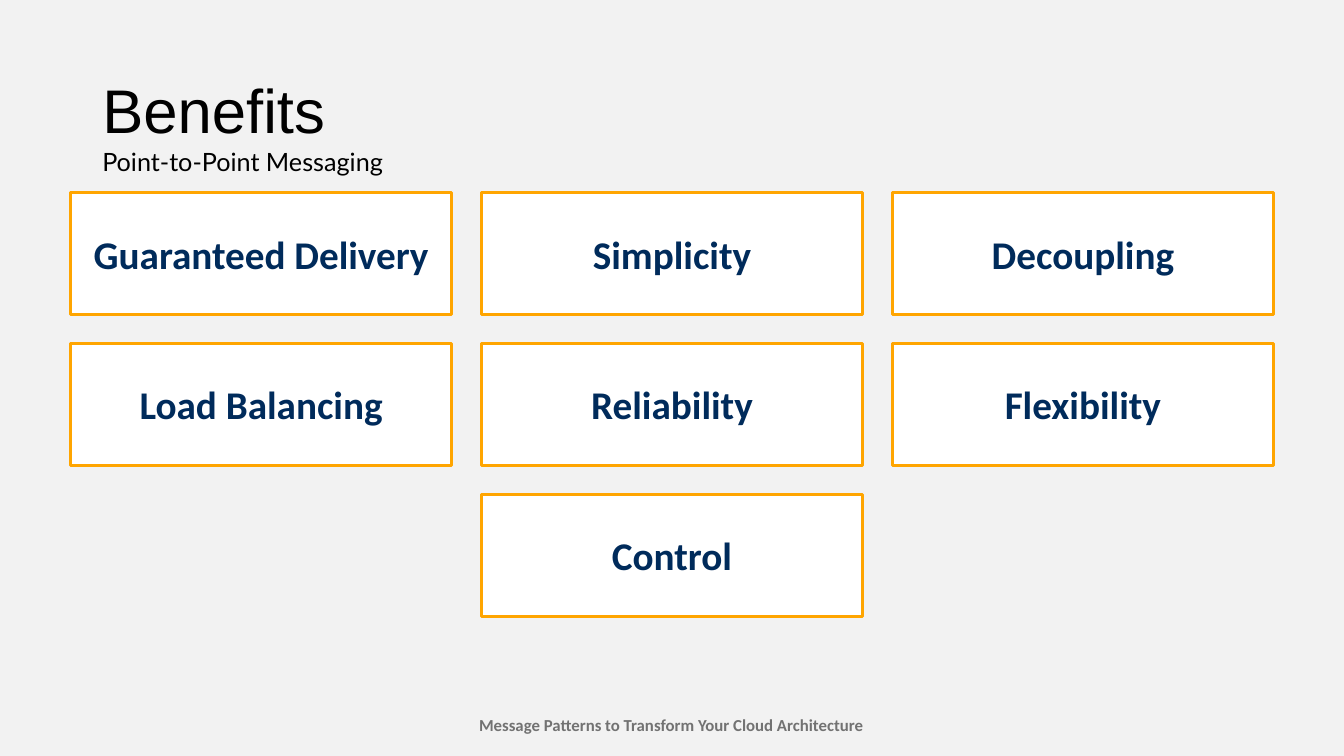
from dataclasses import dataclass

from pptx import Presentation
from pptx.dml.color import RGBColor
from pptx.enum.shapes import MSO_SHAPE
from pptx.enum.text import MSO_ANCHOR, MSO_AUTO_SIZE, PP_ALIGN
from pptx.slide import Slide
from pptx.text.text import TextFrame
from pptx.util import Pt

COLORS = {
    "background": "F2F2F2",
    "card": "FFFFFF",
    "border": "FFA500",
    "navy": "002B5B",
    "black": "000000",
    "gray": "727272",
}
CARD_LEFT, CARD_TOP = 50.4, 137.4
CARD_WIDTH, CARD_HEIGHT = 272.2, 87.1
COLUMN_STEP, ROW_STEP = 293.5, 107.8


@dataclass(frozen=True)
class Style:
    font: str
    size: float
    color: str
    bold: bool = False
    align: PP_ALIGN = PP_ALIGN.LEFT


@dataclass(frozen=True)
class Benefit:
    name: str
    column: int
    row: int


@dataclass(frozen=True)
class Label:
    text: str
    left: float
    top: float
    width: float
    height: float
    style: Style


TITLE_STYLE = Style("Arial", 44, "black")
CARD_STYLE = Style("Calibri", 28, "navy", True, PP_ALIGN.CENTER)
BENEFITS = [
    Benefit("Guaranteed Delivery", 0, 0),
    Benefit("Simplicity", 1, 0),
    Benefit("Decoupling", 2, 0),
    Benefit("Load Balancing", 0, 1),
    Benefit("Reliability", 1, 1),
    Benefit("Flexibility", 2, 1),
    Benefit("Control", 1, 2),
]
FOOTER = Label("Message Patterns to Transform Your Cloud Architecture",
               333.4, 506.9, 292.3, 21.8,
               Style("Calibri", 12, "gray", True, PP_ALIGN.CENTER))
SUBTITLE = Label("Point-to-Point Messaging", 66, 100.8, 237.6, 29.1,
                 Style("Lato", 18, "black"))


def rgb(name: str) -> RGBColor:
    """Return the named colour."""
    return RGBColor.from_string(COLORS[name])


def write(tf: TextFrame, text: str, style: Style) -> None:
    """Fill a text frame with one styled paragraph."""
    tf.text = text
    p = tf.paragraphs[0]
    p.alignment = style.align
    r = p.runs[0]
    r.font.name = style.font
    r.font.size = Pt(style.size)
    r.font.bold = style.bold
    r.font.color.rgb = rgb(style.color)


def add_title(s: Slide, text: str) -> None:
    """Place and format the title placeholder."""
    sp = s.shapes.title
    sp.left, sp.top, sp.width, sp.height = Pt(66), Pt(28.8), Pt(828), Pt(104.4)
    tf = sp.text_frame
    write(tf, text, TITLE_STYLE)
    tf.auto_size = MSO_AUTO_SIZE.NONE
    tf.vertical_anchor = MSO_ANCHOR.MIDDLE
    tf.paragraphs[0].line_spacing = 0.9


def add_label(s: Slide, label: Label) -> None:
    """Add a text box that fits a single line."""
    sp = s.shapes.add_textbox(Pt(label.left), Pt(label.top),
                              Pt(label.width), Pt(label.height))
    tf = sp.text_frame
    write(tf, label.text, label.style)
    tf.word_wrap = False
    tf.auto_size = MSO_AUTO_SIZE.SHAPE_TO_FIT_TEXT


def add_card(s: Slide, benefit: Benefit) -> None:
    """Add a bordered card at its grid position."""
    sp = s.shapes.add_shape(
        MSO_SHAPE.RECTANGLE,
        Pt(CARD_LEFT + benefit.column * COLUMN_STEP),
        Pt(CARD_TOP + benefit.row * ROW_STEP),
        Pt(CARD_WIDTH), Pt(CARD_HEIGHT))
    sp.shadow.inherit = False
    sp.fill.solid()
    sp.fill.fore_color.rgb = rgb("card")
    sp.line.color.rgb = rgb("border")
    sp.line.width = Pt(2.25)
    tf = sp.text_frame
    write(tf, benefit.name, CARD_STYLE)
    tf.vertical_anchor = MSO_ANCHOR.MIDDLE


def main() -> None:
    """Build and save the benefits slide."""
    prs = Presentation()
    prs.slide_width, prs.slide_height = Pt(960), Pt(540)
    s = prs.slides.add_slide(prs.slide_layouts[5])
    s.background.fill.solid()
    s.background.fill.fore_color.rgb = rgb("background")
    add_label(s, FOOTER)
    add_title(s, "Benefits")
    for benefit in BENEFITS:
        add_card(s, benefit)
    add_label(s, SUBTITLE)
    prs.save("out.pptx")


if __name__ == "__main__":
    main()
